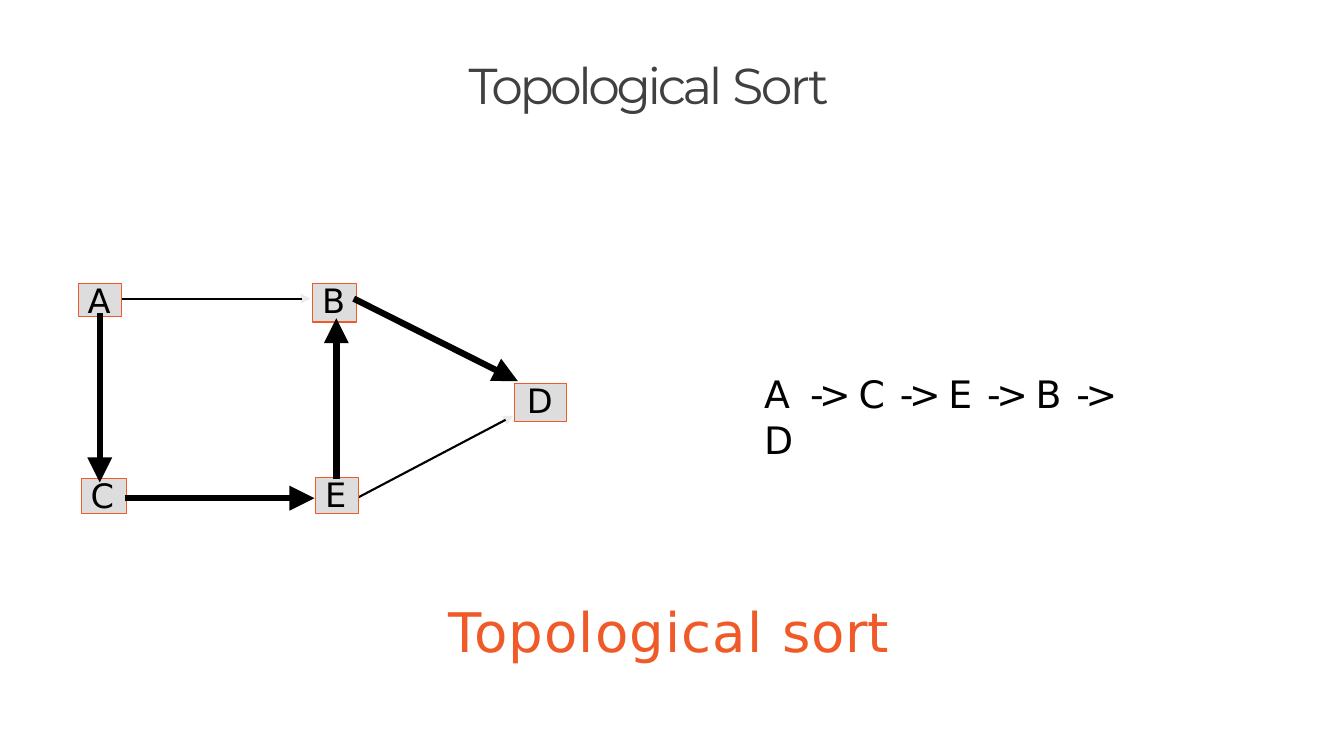
"""Build the topological sort slide: a directed graph, its order and a caption."""
import math
from lxml import etree
from pptx import Presentation
from pptx import util as u
from pptx.dml.color import RGBColor
from pptx.enum import shapes, text
from pptx.oxml.ns import qn

PX = 9144
BLACK = RGBColor(0x00, 0x00, 0x00)
DARK = RGBColor(0x40, 0x40, 0x40)
GREY = RGBColor(0xDD, 0xDD, 0xDD)
ORANGE = RGBColor(0xF0, 0x5A, 0x28)
SANS, TITLE_FONT = "DejaVu Sans", "Montserrat"

TITLE = [("Topological ", -3.3), ("Sort", -2.4)]
CAPTION = [("Topological ", 1.1), ("sort", 0.4)]
ARROW = ("-> ", -4.2)
ORDER = [("A ", 3.8), ARROW, ("C ", 1.4), ARROW, ("E ", 1.4), ARROW,
         ("B ", 1.3), ARROW, ("D", 0.4)]

# name: box, left of letter, letter spacing
NODES = {
    "A": ((104, 375, 57, 44), 115, 3.4),
    "B": ((413, 375, 59, 51), 425, 1.1),
    "D": ((681, 507, 68, 50), 696, 0.3),
    "E": ((417, 632, 57, 47), 429, 1.2),
    "C": ((108, 633, 59, 46), 119, 1.2),
}
SKIPPED_EDGES = [((160, 395), (411, 395)), ((472, 659), (679, 550))]
SORTED_EDGES = [((468, 395), (685, 504)), ((165, 659), (416, 659)),
                ((445, 633), (445, 421)), ((132, 414), (132, 638))]

prs = Presentation()
prs.slide_width, prs.slide_height = 1778 * PX, 1000 * PX
s = prs.slides.add_slide(prs.slide_layouts[6])


def add_text(box, runs, size, color, font=SANS, before=1):
    tf = s.shapes.add_textbox(*(v * PX for v in box)).text_frame
    tf.word_wrap = True
    tf.vertical_anchor = text.MSO_ANCHOR.TOP
    tf.margin_left = tf.margin_top = PX
    tf.margin_right = tf.margin_bottom = 0
    p = tf.paragraphs[0]
    p.space_before = u.Pt(before)
    for words, spacing in runs:
        r = p.add_run()
        r.text = words
        r.font.size, r.font.name = u.Pt(size), font
        r.font.color.rgb = color
        r._r.get_or_add_rPr().set("spc", str(round(spacing * 100)))


def add_edge(start, tip, width, head, alpha=100):
    (x1, y1), (x2, y2) = start, tip
    length = math.dist(start, tip)
    dx, dy = (x2 - x1) / length, (y2 - y1) / length

    def point(back, side=0):
        return (round((x2 - back * dx - side * dy) * PX),
                round((y2 - back * dy + side * dx) * PX))

    line = s.shapes.add_connector(shapes.MSO_CONNECTOR.STRAIGHT,
                                  x1 * PX, y1 * PX, *point(head * 0.88))
    line.line.color.rgb = BLACK
    line.line.width = u.Pt(width)
    etree.SubElement(line._element.spPr, qn("a:effectLst"))

    outline = s.shapes.build_freeform(*point(0))
    outline.add_line_segments([point(head, head / 2), point(head, -head / 2)])
    sp = outline.convert_to_shape()
    sp.shadow.inherit = False
    sp.fill.solid()
    sp.fill.fore_color.rgb = BLACK
    sp.line.fill.background()
    if alpha < 100:
        color = sp._element.spPr.find(".//" + qn("a:srgbClr"))
        etree.SubElement(color, qn("a:alpha"), val=str(alpha * 1000))


def add_node(name, box, letter_left, spacing):
    sp = s.shapes.add_shape(shapes.MSO_SHAPE.RECTANGLE, *(v * PX for v in box))
    sp.shadow.inherit = False
    sp.fill.solid()
    sp.fill.fore_color.rgb = GREY
    sp.line.color.rgb = ORANGE
    sp.line.width = u.Pt(1)
    add_text((letter_left, box[1] - 6, 38, 56), [(name, spacing)], 32, BLACK)


add_text((619, 71, 538, 83), TITLE, 48, DARK, TITLE_FONT)
for start, tip in SKIPPED_EDGES:
    add_edge(start, tip, 2, 13, alpha=8)
for name, (box, letter_left, spacing) in NODES.items():
    add_node(name, box, letter_left, spacing)
for start, tip in SORTED_EDGES:
    add_edge(start, tip, 6, 33)
add_text((1010, 490, 516, 63), ORDER, 36, BLACK)
add_text((593, 790, 591, 95), CAPTION, 52, ORANGE, before=1.4)

prs.save("out.pptx")
